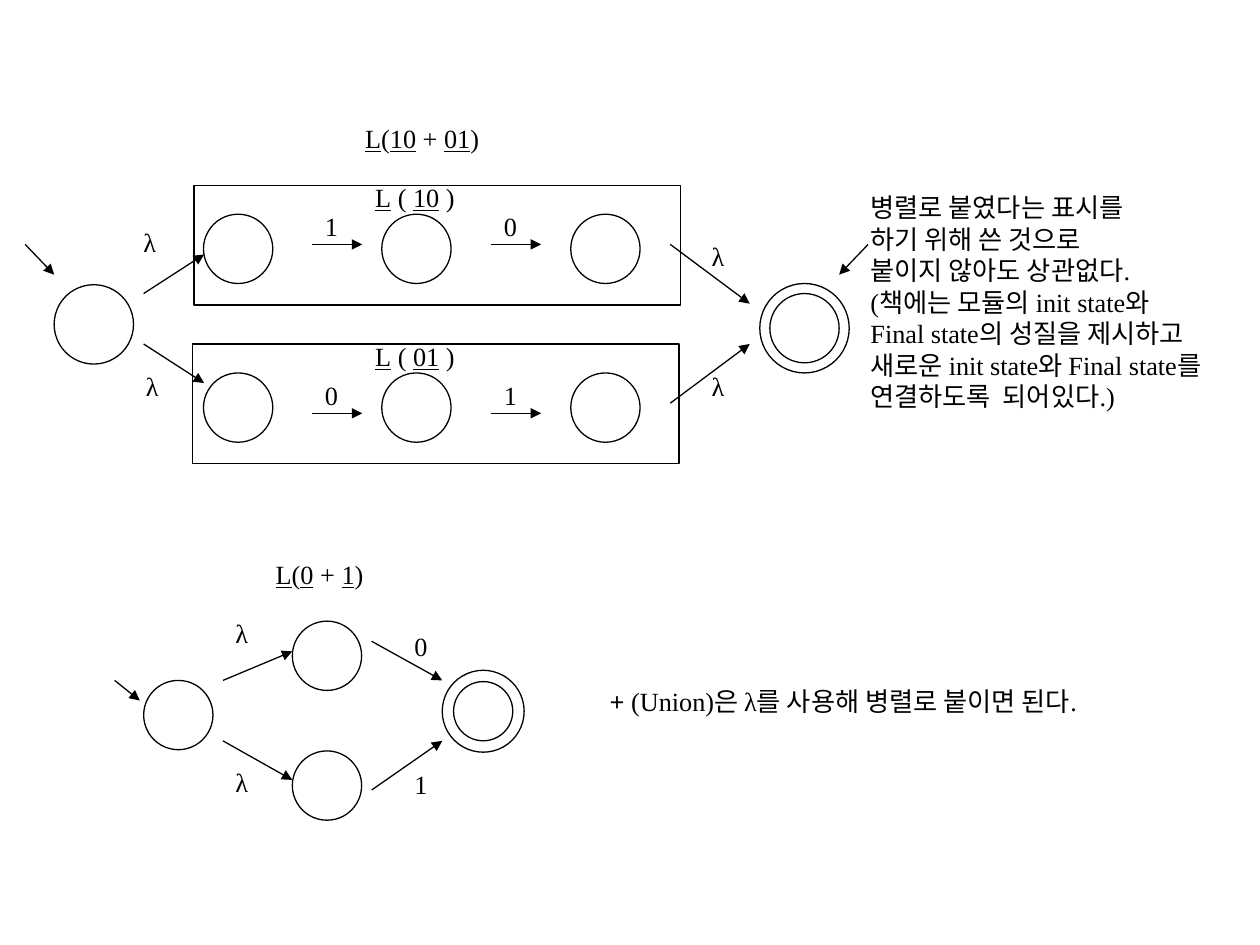
import pptx
import pptx.dml.color
import pptx.enum.shapes
import pptx.enum.text
import pptx.oxml
import pptx.oxml.ns
import pptx.util

BLACK = pptx.dml.color.RGBColor(0, 0, 0)
WHITE = pptx.dml.color.RGBColor(255, 255, 255)
FONT = "Times New Roman"
COLUMNS, ROWS = 100, 75
CELL = pptx.util.Inches(0.1)
STATE = 5.5  # diameter of an ordinary state
SHAPE = pptx.enum.shapes.MSO_SHAPE


def cells(*counts):
    """Turn grid columns or rows into lengths."""
    return [round(n * CELL) for n in counts]


def add_text(slide, text, left, top, width, height=3.5, size=15,
             wrap=False, bold_lead=""):
    """Add a text box; parts between underscores are underlined."""
    tf = slide.shapes.add_textbox(*cells(left, top, width, height)).text_frame
    tf.word_wrap = wrap
    tf.auto_size = pptx.enum.text.MSO_AUTO_SIZE.SHAPE_TO_FIT_TEXT
    for i, line in enumerate(text.split("\n")):
        p = tf.paragraphs[0] if i == 0 else tf.add_paragraph()
        parts = [(part, bool(j % 2), False)
                 for j, part in enumerate(line.split("_"))]
        if bold_lead:
            parts.insert(0, (bold_lead, False, True))
        for part, underline, bold in parts:
            if part:
                r = p.add_run()
                r.text = part
                r.font.name, r.font.size = FONT, pptx.util.Pt(size)
                r.font.color.rgb = BLACK
                r.font.underline, r.font.bold = underline, bold


def add_outline(slide, kind, left, top, width, height, filled=True):
    sp = slide.shapes.add_shape(kind, *cells(left, top, width, height))
    sp.shadow.inherit = False
    if filled:
        sp.fill.solid()
        sp.fill.fore_color.rgb = WHITE
    else:
        sp.fill.background()
    sp.line.color.rgb = BLACK
    sp.line.width = pptx.util.Pt(0.75)


def add_state(slide, left, top, size=STATE):
    add_outline(slide, SHAPE.OVAL, left, top, size, size)


def add_final_state(slide, left, top, size, inner):
    add_state(slide, left, top, size)
    gap = (size - inner) / 2
    add_state(slide, left + gap, top + gap, inner)


def add_arrow(slide, x1, y1, x2, y2):
    line = slide.shapes.add_connector(
        pptx.enum.shapes.MSO_CONNECTOR.STRAIGHT, *cells(x1, y1, x2, y2))
    line.line.color.rgb = BLACK
    line.line.width = pptx.util.Pt(0.75)
    ln = line.line._get_or_add_ln()
    head = pptx.oxml.parse_xml(
        '<a:tailEnd %s type="triangle"/>' % pptx.oxml.ns.nsdecls("a"))
    ln.append(head)
    ln.addnext(pptx.oxml.parse_xml(
        "<a:effectLst %s/>" % pptx.oxml.ns.nsdecls("a")))


def add_module(slide, left, top, first, second, arrow_drop):
    """Framed chain of three states that reads two symbols."""
    add_outline(slide, SHAPE.RECTANGLE, left, top, 38.6, 9.5, filled=False)
    for x in (16.15, 30.3, 45.3):
        add_state(slide, x, top + 2.3)
    add_text(slide, f"_L_ ( _{first}{second}_ )", 28.8, top - 0.8, 8.7,
             wrap=True)
    y = top + arrow_drop
    for x, symbol in ((24.8, first), (39, second)):
        add_arrow(slide, x, y, x + 3.95, y)
        add_text(slide, symbol, x, y - 3.2, 3.1)


def add_concatenation_union(slide):
    add_text(slide, "_L_(_10_ + _01_)", 28, 9.2, 11.1)
    add_module(slide, 15.4, 14.7, "1", "0", 4.7)
    add_module(slide, 15.3, 27.3, "0", "1", 5.5)
    add_state(slide, 4.3, 22.6, 6.3)
    add_final_state(slide, 60.3, 22.5, 7.1, STATE)
    for ends in ((2, 19.4, 4.3, 21.8), (68.9, 19.4, 66.6, 21.8),
                 (11.4, 23.3, 16.2, 20.2), (11.4, 27.3, 16.2, 30.4),
                 (53.2, 19.4, 59.5, 24.1), (53.2, 32, 59.5, 27.3)):
        add_arrow(slide, *ends)
    for x, y in ((10.4, 17.5), (10.6, 28.9), (55.5, 18.6), (55.5, 28.9)):
        add_text(slide, "λ", x, y, 3.5)


def add_symbol_union(slide):
    add_text(slide, "_L_(_0_ + _1_)", 20.9, 43.8, 9)
    for x, y in ((11.4, 54), (23.2, 49.3), (23.2, 59.6)):
        add_state(slide, x, y)
    add_final_state(slide, 35.1, 53.2, 6.5, 4.7)
    for ends in ((9.1, 54, 11.1, 55.6),
                 (17.7, 54, 23.2, 51.7), (17.7, 58.8, 23.2, 61.9),
                 (29.5, 50.9, 35.1, 54), (29.5, 62.7, 35.1, 58.8)):
        add_arrow(slide, *ends)
    for y in (48.5, 60.3):
        add_text(slide, "λ", 17.7, y, 3.5)
    for symbol, y in (("0", 49.5), ("1", 60.5)):
        add_text(slide, symbol, 31.9, y, 3.1)


def add_remarks(slide):
    add_text(slide, "병렬로 붙였다는 표시를\n"
             "하기 위해 쓴 것으로\n"
             "붙이지 않아도 상관없다.\n"
             "(책에는 모듈의 init state와\n"
             "Final state의 성질을 제시하고\n"
             "새로운 init state와 Final state를\n"
             "연결하도록  되어있다.)", 68.1, 14.7, 29.1, 18.5, wrap=True)
    add_text(slide, "(Union)은 λ를 사용해 병렬로 붙이면 된다.",
             47.4, 53.9, 42, bold_lead="+ ")


def main():
    prs = pptx.Presentation()
    prs.slide_width, prs.slide_height = cells(COLUMNS, ROWS)
    slide = prs.slides.add_slide(prs.slide_layouts[6])
    # Upper automaton: two modules in parallel
    add_concatenation_union(slide)
    # Lower automaton: two single symbols in parallel
    add_symbol_union(slide)
    # Explanations on the right
    add_remarks(slide)
    prs.save("out.pptx")


if __name__ == "__main__":
    main()
